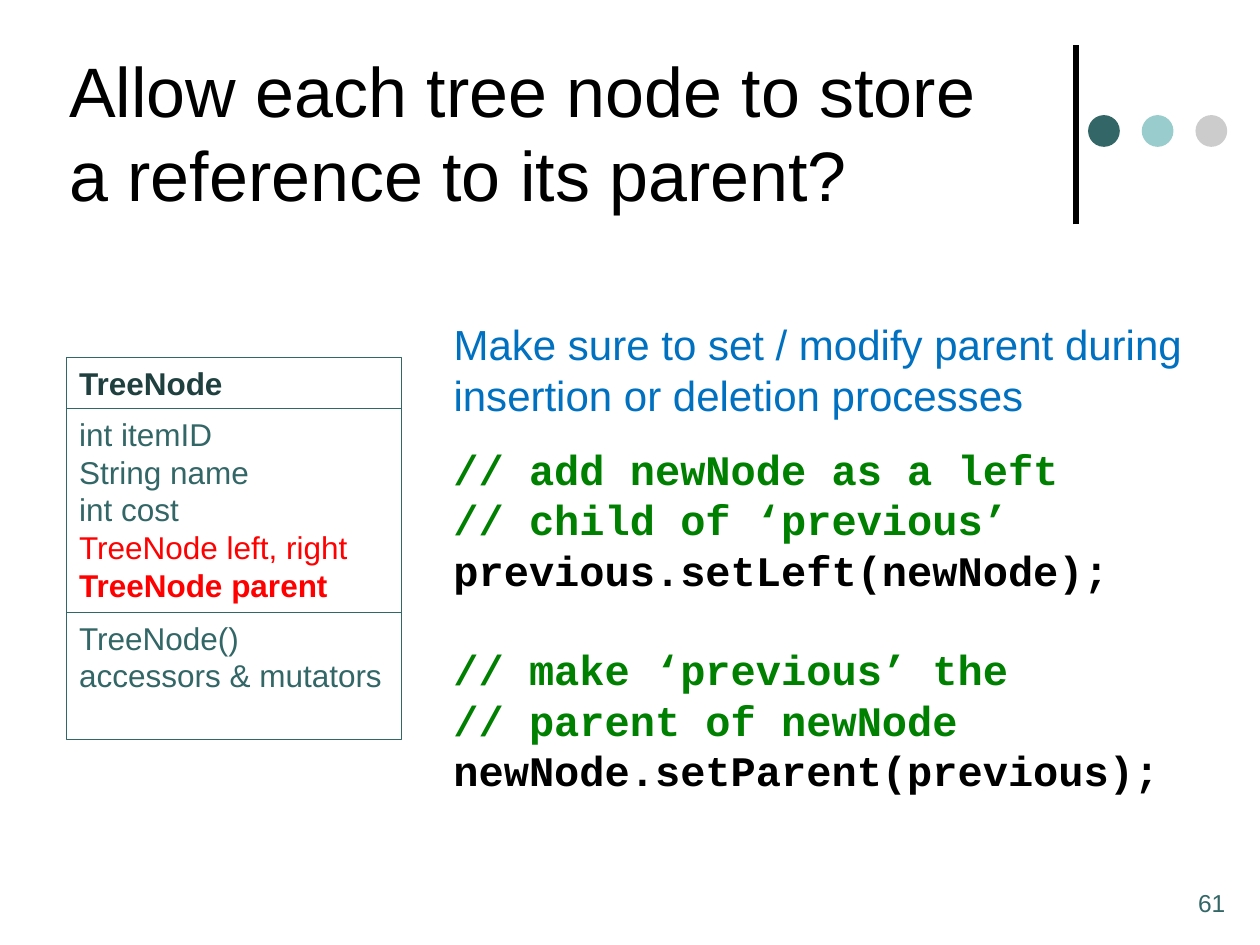
from pptx import Presentation
from pptx.dml.color import RGBColor
from pptx.enum.shapes import MSO_CONNECTOR, MSO_SHAPE
from pptx.enum.text import MSO_ANCHOR, MSO_AUTO_SIZE, PP_ALIGN
from pptx.oxml.xmlchemy import OxmlElement
from pptx.util import Inches, Pt

LINE, RECT, DOT = MSO_CONNECTOR.STRAIGHT, MSO_SHAPE.RECTANGLE, MSO_SHAPE.OVAL
TOP, MID, LEFT = MSO_ANCHOR.TOP, MSO_ANCHOR.MIDDLE, PP_ALIGN.LEFT
FIXED = MSO_AUTO_SIZE.NONE

BLACK = RGBColor(0x00, 0x00, 0x00)
TEAL = RGBColor(0x33, 0x66, 0x66)
DARK = RGBColor(0x20, 0x40, 0x40)
AQUA = RGBColor(0x99, 0xCC, 0xCC)
GRAY = RGBColor(0xCC, 0xCC, 0xCC)
RED = RGBColor(0xFF, 0x00, 0x00)
BLUE = RGBColor(0x00, 0x70, 0xC0)
GREEN = RGBColor(0x00, 0x80, 0x00)

WIDE, HIGH = Inches(10), Inches(7.5)
COL, ROW = WIDE / 100, HIGH / 75

HEAD = {"name": "Arial", "size": Pt(40), "bold": False}
NOTE = {"name": "Arial", "size": Pt(24), "bold": False}
CODE = {"name": "Courier New", "size": Pt(24), "bold": True}
CARD = {"name": "Arial", "size": Pt(18), "bold": False}
PAGE = {"name": "Arial", "size": Pt(14), "bold": False}


def grid(x, y, w, h):
    return [round(n) for n in (x * COL, y * ROW, w * COL, h * ROW)]


def place(shape, box):
    for key, val in zip(("left", "top", "width", "height"), box):
        setattr(shape, key, val)


def write(shape, look, lines, anchor=TOP, wrap=True):
    frame = shape.text_frame
    form = {"word_wrap": wrap, "auto_size": FIXED, "vertical_anchor": anchor}
    for key, val in form.items():
        setattr(frame, key, val)
    for i, (text, color, extra) in enumerate(lines):
        para = frame.add_paragraph() if i else frame.paragraphs[0]
        para.text = text
        para.alignment = LEFT
        para.space_before = Pt(extra.get("gap", 0))
        for run in para.runs:
            for key, val in look.items():
                setattr(run.font, key, val)
            run.font.bold = extra.get("bold", look["bold"])
            run.font.color.rgb = color


def add_mark(slide, box):
    x, y, w, h = box
    bar = slide.shapes.add_connector(LINE, x, y + h, x, y)
    bar.line.color.rgb = BLACK
    bar.line.width = Pt(3)
    bar._element.spPr.append(OxmlElement("a:effectLst"))
    size = round(w * 0.21)
    first = x + w * 0.08
    step = (x + w - size - first) / 2
    for i, color in enumerate((TEAL, AQUA, GRAY)):
        dot = slide.shapes.add_shape(
            DOT, round(first + i * step), round(y + h * 0.39), size, size)
        dot.shadow.inherit = False
        dot.fill.solid()
        dot.fill.fore_color.rgb = color
        dot.line.fill.background()


def add_title(slide, box):
    title = slide.shapes.title
    place(title, box)
    text = "Allow each tree node to store a reference to its parent?"
    write(title, HEAD, [(text, BLACK, {})], MID)


def add_card(slide, box):
    bold = {"bold": True}
    parts = [
        (1, [("TreeNode", DARK, bold)]),
        (5, [("int itemID", TEAL, {}), ("String name", TEAL, {}),
             ("int cost", TEAL, {}), ("TreeNode left, right", RED, {}),
             ("TreeNode parent", RED, bold)]),
        (3, [("TreeNode()", TEAL, {}), ("accessors & mutators", TEAL, {})]),
    ]
    x, y, w, h = box
    unit = (h - len(parts) * ROW) / sum(count for count, _ in parts)
    for count, lines in parts:
        tall = round(count * unit + ROW)
        part = slide.shapes.add_shape(RECT, x, y, w, tall)
        part.shadow.inherit = False
        part.fill.background()
        part.line.color.rgb = TEAL
        part.line.width = Pt(0.75)
        write(part, CARD, lines)
        y += tall


def add_note(slide, box):
    body = slide.placeholders[1]
    place(body, box)
    props = body.text_frame.paragraphs[0]._p.get_or_add_pPr()
    props.set("marL", "0")
    props.set("indent", "0")
    props.append(OxmlElement("a:buNone"))
    text = ("Make sure to set / modify parent during "
            "insertion or deletion processes")
    write(body, NOTE, [(text, BLUE, {})])


def add_code(slide, box):
    lines = [
        ("// add newNode as a left \v// child of ‘previous’", GREEN, {}),
        ("previous.setLeft(newNode);", BLACK, {}),
        ("// make ‘previous’ the \v// parent of newNode", GREEN, {"gap": 28}),
        ("newNode.setParent(previous);", BLACK, {}),
    ]
    write(slide.shapes.add_textbox(*box), CODE, lines, wrap=False)


def add_page(slide, box):
    write(slide.shapes.add_textbox(*box), PAGE, [("61", TEAL, {})])


def main():
    deck = Presentation()
    deck.slide_width, deck.slide_height = WIDE, HIGH
    slide = deck.slides.add_slide(deck.slide_layouts[1])
    add_mark(slide, grid(85.4, 3.6, 12, 14.2))
    add_title(slide, grid(4.5, 2.1, 76.7, 16.7))
    add_page(slide, grid(94.1, 70, 5.9, 5))
    add_card(slide, grid(5.3, 28.4, 26.6, 30.3))
    add_note(slide, grid(35, 24.8, 61.4, 12.7))
    add_code(slide, grid(35, 34.7, 58.5, 29.3))
    deck.save("out.pptx")


if __name__ == "__main__":
    main()
